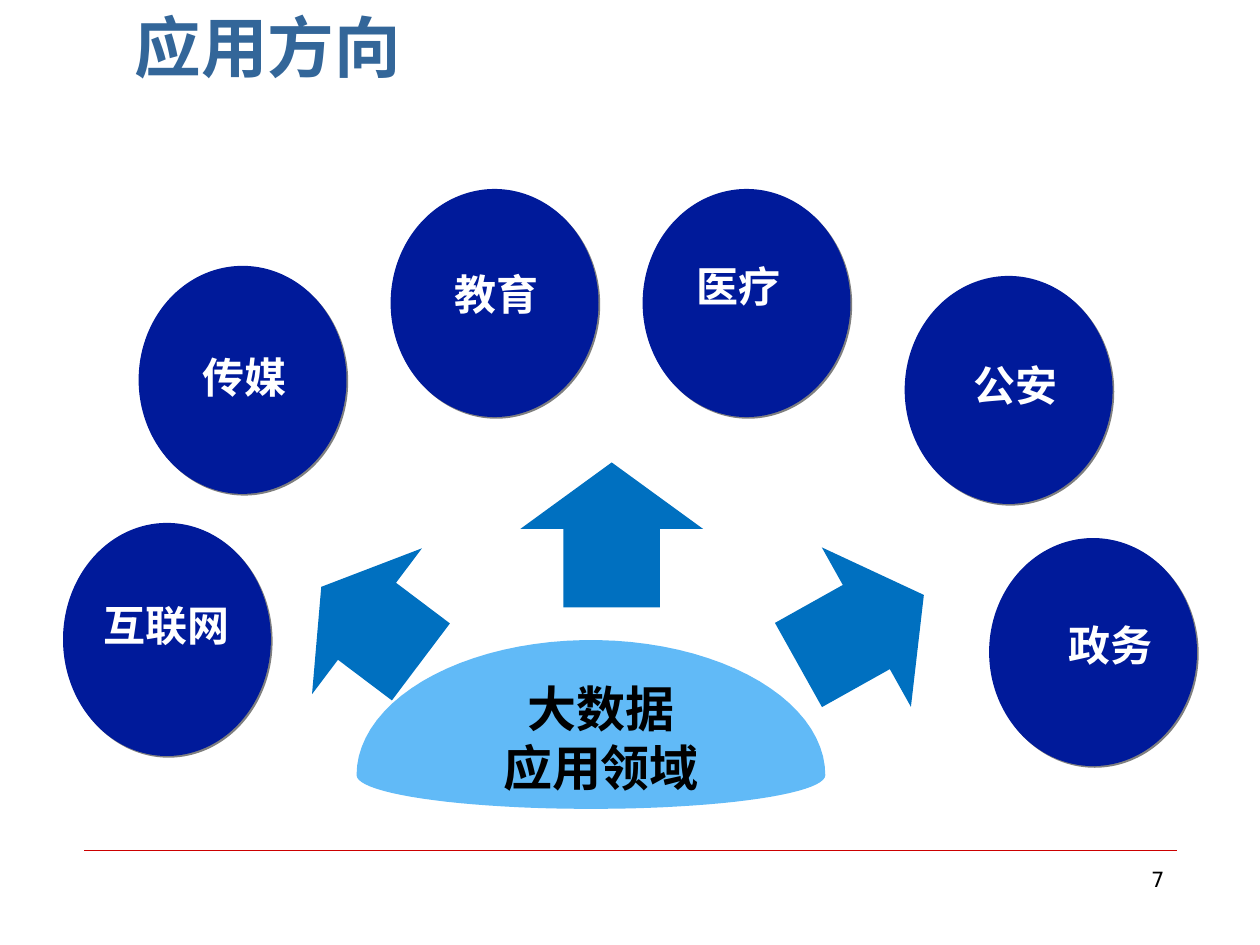
import math
from lxml import etree
from pptx import Presentation
from pptx.dml.color import RGBColor
from pptx.enum.shapes import MSO_CONNECTOR, MSO_SHAPE
from pptx.enum.text import MSO_ANCHOR, MSO_AUTO_SIZE, PP_ALIGN
from pptx.oxml.ns import qn
from pptx.util import Inches, Pt

LINE = MSO_CONNECTOR.STRAIGHT
OVAL, ARROW = MSO_SHAPE.OVAL, MSO_SHAPE.UP_ARROW
TOP, MIDDLE, BOTTOM = MSO_ANCHOR.TOP, MSO_ANCHOR.MIDDLE, MSO_ANCHOR.BOTTOM
FIXED = MSO_AUTO_SIZE.NONE
LEFT, CENTER, RIGHT = PP_ALIGN.LEFT, PP_ALIGN.CENTER, PP_ALIGN.RIGHT
HAN, LATIN = "Noto Sans CJK SC", "DejaVu Sans"
HEX = {"title": "336699", "disc": "001A9A", "arrow": "0070C0", "dome": "61BAF7",
       "rule": "CC0000", "white": "FFFFFF", "black": "000000"}
FIELDS = [
    ("互联网", (0.5, 4.15, 1.65, 1.85), (0.72, 4.71, 1.42, 0.5)),
    ("传媒", (1.1, 2.11, 1.65, 1.81), (1.51, 2.74, 0.99, 0.5)),
    ("教育", (3.1, 1.5, 1.65, 1.81), (3.51, 2.08, 0.99, 0.5)),
    ("医疗", (5.1, 1.5, 1.65, 1.81), (5.43, 2.02, 1.12, 0.5)),
    ("公安", (7.18, 2.19, 1.65, 1.81), (7.63, 2.8, 1.29, 0.5)),
    ("政务", (7.85, 4.27, 1.65, 1.81), (8.38, 4.87, 1.29, 0.5)),
]
ARROWS = [((6.11, 4.43, 1.45, 1.14), 60.8), ((4.13, 3.67, 1.45, 1.15), 0),
          ((2.22, 4.46, 1.45, 0.99), 307)]


def color(name):
    """Return the named colour."""
    return RGBColor.from_string(HEX[name])


def place(box):
    """Turn a box in inches into lengths."""
    return [Inches(v) for v in box]


def paint(shape, name):
    """Give a shape a plain fill with no line or shadow."""
    shape.shadow.inherit = False
    shape.fill.solid()
    shape.fill.fore_color.rgb = color(name)
    shape.line.fill.background()


def write(shape, text, size, tint, font=HAN, bold=True, align=LEFT, anchor=MIDDLE):
    """Set and format the text of a shape."""
    frame = shape.text_frame
    frame.text = text
    frame.word_wrap = True
    frame.auto_size = FIXED
    frame.vertical_anchor = anchor
    for para in frame.paragraphs:
        para.alignment = align
        for run in para.runs:
            run.font.size = Pt(size)
            run.font.bold = bold
            run.font.color.rgb = color(tint)
            run.font.name = font
            east = etree.SubElement(run.font._element, qn("a:ea"))
            east.set("typeface", font)
    return frame


def shade(shape):
    """Cast a small shadow to the lower right."""
    effects = shape._element.spPr.find(qn("a:effectLst"))
    cast = etree.SubElement(effects, qn("a:outerShdw"), dist=str(Pt(1.4)),
                            dir="2700000", algn="ctr", rotWithShape="0")
    tint = etree.SubElement(cast, qn("a:srgbClr"), val=HEX["black"])
    etree.SubElement(tint, qn("a:alpha"), val="50000")


def add_title(slide, box):
    """Fill the title placeholder."""
    title = slide.shapes.title
    title.left, title.top, title.width, title.height = place(box)
    write(title, "应用方向", 38, "title", LATIN, anchor=BOTTOM)


def add_footer(slide, box):
    """Draw the rule and the page number below it."""
    x, y, w, h = box
    rule = slide.shapes.add_connector(LINE, *place((x, y, x + w, y)))
    rule.line.color.rgb = color("rule")
    rule.line.width = Pt(0.25)
    etree.SubElement(rule._element.spPr, qn("a:effectLst"))
    width = 2.17
    page = slide.shapes.add_textbox(*place((x + w - width, y + 0.08, width, h - 0.08)))
    write(page, "7", 12, "black", LATIN, False, RIGHT, TOP)


def add_field(slide, text, box, label):
    """Draw one disc with its label."""
    disc = slide.shapes.add_shape(OVAL, *place(box))
    paint(disc, "disc")
    shade(disc)
    write(slide.shapes.add_textbox(*place(label)), text, 24, "white")


def add_arrow(slide, box, turn):
    """Draw one block arrow."""
    arrow = slide.shapes.add_shape(ARROW, *place(box))
    paint(arrow, "arrow")
    arrow.adjustments[0], arrow.adjustments[1] = 0.528, 0.459
    arrow.rotation = turn


def add_dome(slide, box):
    """Draw the dome from a tall and a flat half ellipse, with its text."""
    x, y, w, h = box
    rise = 0.8 * h
    points = []
    for step in range(0, 360, 4):
        angle = math.radians(step)
        reach = h - rise if step < 180 else rise
        points.append((Inches(x + w / 2 * (1 + math.cos(angle))),
                       Inches(y + rise + reach * math.sin(angle))))
    builder = slide.shapes.build_freeform(*points[0], scale=1.0)
    builder.add_line_segments(points[1:], close=True)
    paint(builder.convert_to_shape(), "dome")
    label = slide.shapes.add_textbox(*place((x + 0.74, y + 0.25, 2.4, 1.04)))
    frame = write(label, "大数据\n应用领域", 28, "black", align=CENTER)
    for para in frame.paragraphs:
        para.line_spacing = Pt(34)


def main():
    """Build the slide and save it."""
    deck = Presentation()
    deck.slide_width, deck.slide_height = Inches(10), Inches(7.5)
    slide = deck.slides.add_slide(deck.slide_layouts[5])
    add_title(slide, (0.97, 0.11, 6.85, 0.62))
    add_footer(slide, (0.67, 6.75, 8.67, 0.6))
    for text, box, label in FIELDS:
        add_field(slide, text, box, label)
    for box, turn in ARROWS:
        add_arrow(slide, box, turn)
    add_dome(slide, (2.83, 5.08, 3.72, 1.34))
    deck.save("out.pptx")


if __name__ == "__main__":
    main()
